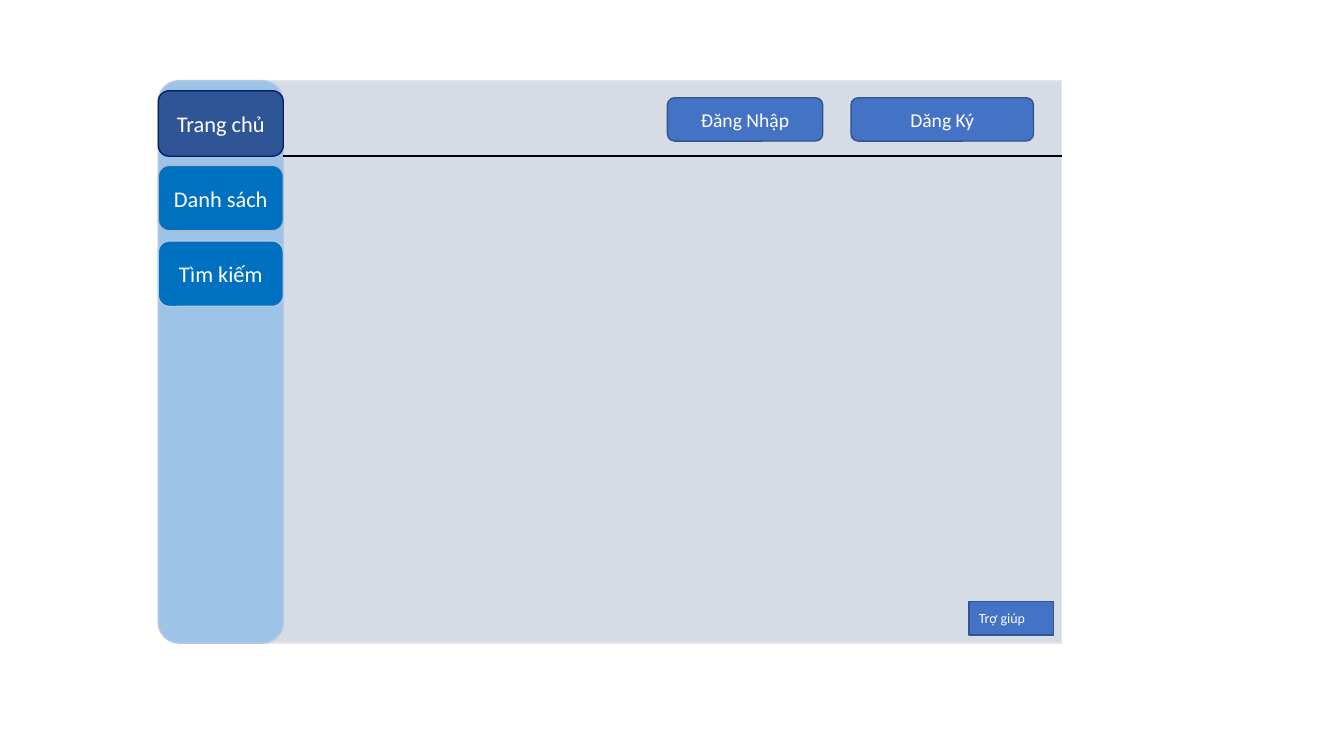
"""Build the wireframe of a home page with a side menu and account buttons."""
from dataclasses import dataclass

from pptx import Presentation
from pptx.dml.color import RGBColor
from pptx.enum.shapes import MSO_CONNECTOR, MSO_SHAPE
from pptx.enum.text import MSO_ANCHOR, PP_ALIGN
from pptx.oxml.ns import qn
from pptx.shapes.autoshape import Shape
from pptx.slide import Slide
from pptx.util import Emu, Pt

PX = 9144
MENU_LEFT, MENU_TOP, MENU_W, MENU_H, MENU_PITCH = 157, 90, 124, 65, 74.5
PAGE_TOP, PAGE_H = 80, 558
PAGE_RIGHT = 1053
BLUE, NAVY_EDGE = "4472C4", "325491"


@dataclass(frozen=True)
class Box:
    left: int
    top: int
    width: int
    height: int
    fill: str
    edge: str
    text: str = ""
    size: int = 16
    align: PP_ALIGN = PP_ALIGN.CENTER
    kind: MSO_SHAPE = MSO_SHAPE.ROUNDED_RECTANGLE


def px(n: int) -> Emu:
    return Emu(n * PX)


def rgb(value: str) -> RGBColor:
    return RGBColor.from_string(value)


def write(sp: Shape, text: str, *, size: int, align: PP_ALIGN,
          color: str = "FFFFFF", font: str = "Calibri") -> None:
    tf = sp.text_frame
    tf.word_wrap = True
    tf.vertical_anchor = MSO_ANCHOR.MIDDLE
    p = tf.paragraphs[0]
    p.alignment = align
    r = p.add_run()
    r.text = text
    r.font.name = font
    r.font.size = Pt(size)
    r.font.color.rgb = rgb(color)


def draw_box(s: Slide, box: Box) -> None:
    sp = s.shapes.add_shape(box.kind, px(box.left), px(box.top),
                            px(box.width), px(box.height))
    sp.shadow.inherit = False
    sp.fill.solid()
    sp.fill.fore_color.rgb = rgb(box.fill)
    sp.line.color.rgb = rgb(box.edge)
    sp.line.width = Pt(1)
    if box.text:
        write(sp, box.text, size=box.size, align=box.align)


def draw_rule(s: Slide, x1: int, x2: int, y: int) -> None:
    line = s.shapes.add_connector(MSO_CONNECTOR.STRAIGHT,
                                  px(x1), px(y), px(x2), px(y))
    line.line.color.rgb = rgb("000000")
    line.line.width = Pt(1.5)
    sp_pr = line._element.spPr
    sp_pr.append(sp_pr.makeelement(qn("a:effectLst"), {}))


def main() -> None:
    prs = Presentation()
    prs.slide_width, prs.slide_height = px(1333), px(750)
    s = prs.slides.add_slide(prs.slide_layouts[6])

    panels = [
        Box(257, PAGE_TOP, PAGE_RIGHT - 257, PAGE_H, "D6DCE5", "E7E6E6",
            kind=MSO_SHAPE.RECTANGLE),
        Box(MENU_LEFT, PAGE_TOP, MENU_W, PAGE_H, "9DC3E6", "B4C7E7"),
    ]
    items = [("Trang chủ", "2F5597", "002060"),
             ("Danh sách", "0070C0", "ADB9CA"),
             ("Tìm kiếm", "0070C0", "B4C7E7")]
    menu = [Box(MENU_LEFT, MENU_TOP + round(i * MENU_PITCH), MENU_W, MENU_H,
                fill, edge, text)
            for i, (text, fill, edge) in enumerate(items)]
    buttons = [
        Box(961, 597, 84, 33, BLUE, NAVY_EDGE, "Trợ giúp", 10,
            PP_ALIGN.LEFT, MSO_SHAPE.RECTANGLE),
        Box(662, 97, 154, 43, BLUE, NAVY_EDGE, "Đăng Nhập", 14),
        Box(844, 97, 181, 43, BLUE, NAVY_EDGE, "Dăng Ký", 14),
    ]

    for box in panels + menu:
        draw_box(s, box)
    draw_rule(s, MENU_LEFT + MENU_W, PAGE_RIGHT, MENU_TOP + MENU_H)
    for box in buttons:
        draw_box(s, box)
    prs.save("out.pptx")


if __name__ == "__main__":
    main()
